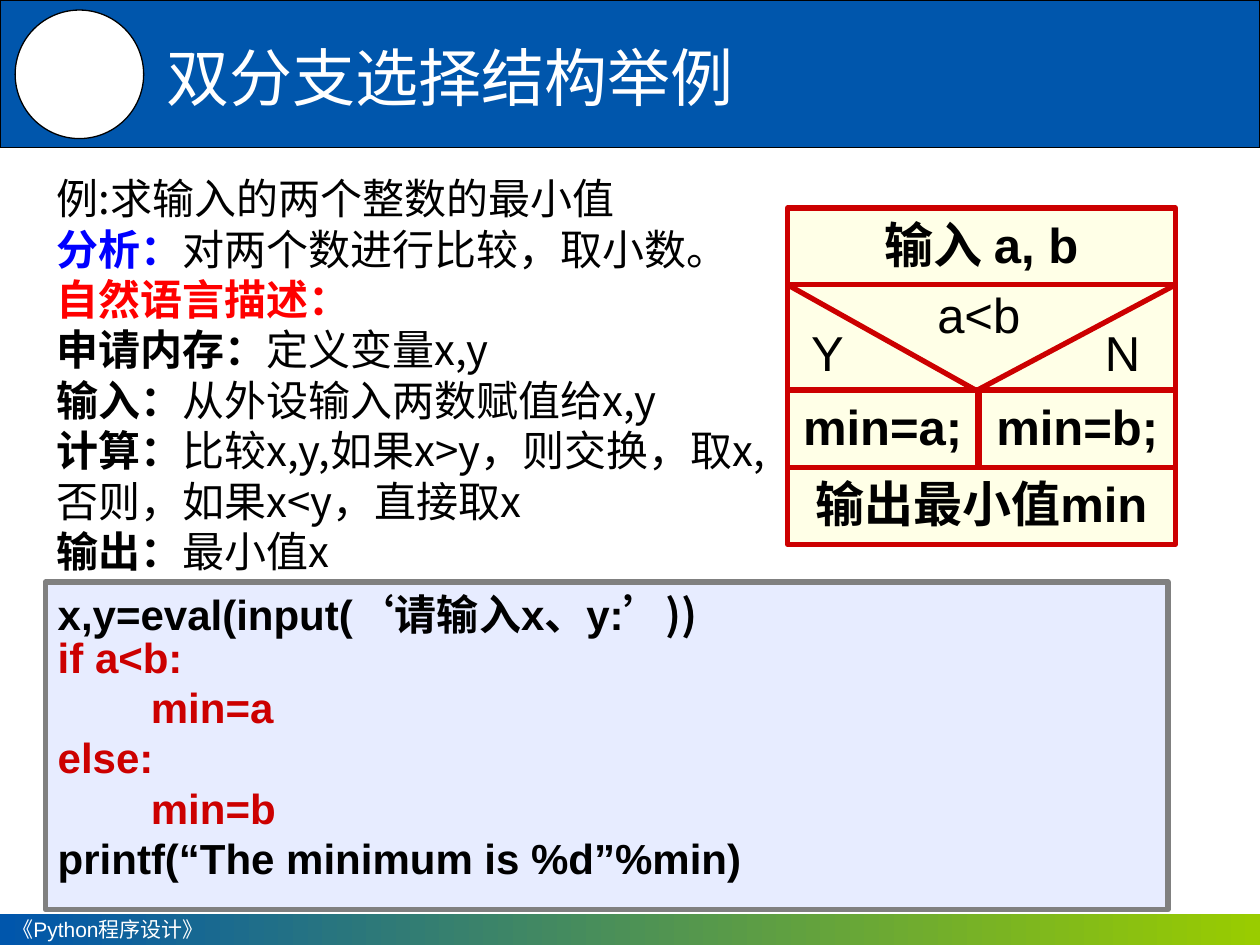
from dataclasses import dataclass

from lxml.etree import SubElement
from pptx import Presentation
from pptx.dml.color import RGBColor
from pptx.enum.shapes import MSO_CONNECTOR, MSO_SHAPE
from pptx.enum.text import MSO_ANCHOR, MSO_AUTO_SIZE, PP_ALIGN
from pptx.oxml.ns import qn
from pptx.util import Inches, Pt


@dataclass(frozen=True)
class Theme:
    blue: str = "0056AC"
    green: str = "99CC00"
    white: str = "FFFFFF"
    black: str = "000000"
    red: str = "CC0000"
    cream: str = "FFFFE7"
    code_fill: str = "E7ECFF"
    code_line: str = "808080"
    analysis: str = "0000FF"
    description: str = "FF0000"
    latin: str = "Arial"
    chinese: str = "Noto Sans CJK SC"
    title_size: int = 36
    chart_size: int = 28
    body_size: int = 24
    footer_size: int = 12
    line_height: float = 1.2


theme = Theme()


def write_text(shape, lines, size, font=theme.latin, color=theme.black, bold=False,
               align=PP_ALIGN.LEFT, anchor=MSO_ANCHOR.TOP, wrap=True):
    """Each line is a list of (text, overrides) runs."""
    frame = shape.text_frame
    frame.word_wrap = wrap
    frame.auto_size = MSO_AUTO_SIZE.NONE
    frame.vertical_anchor = anchor
    for index, runs in enumerate(lines):
        paragraph = frame.paragraphs[0] if index == 0 else frame.add_paragraph()
        paragraph.alignment = align
        paragraph.space_before = Pt(0)
        paragraph.line_spacing = Pt(size * theme.line_height)
        for text, overrides in runs:
            run = paragraph.add_run()
            run.text = text
            run.font.size = Pt(size)
            run.font.name = overrides.get("font", font)
            run.font.bold = overrides.get("bold", bold)
            run.font.color.rgb = RGBColor.from_string(overrides.get("color", color))
            properties = run.font._element
            properties.set("lang", "zh-CN")
            SubElement(properties, qn("a:ea")).set("typeface", theme.chinese)


def add_block(kind, left, top, width, height, fill, line=None, line_width=3):
    shape = slide.shapes.add_shape(
        kind, Inches(left), Inches(top), Inches(width), Inches(height))
    shape.shadow.inherit = False
    shape.fill.solid()
    shape.fill.fore_color.rgb = RGBColor.from_string(fill)
    if line:
        shape.line.color.rgb = RGBColor.from_string(line)
        shape.line.width = Pt(line_width)
    else:
        shape.line.fill.background()
    return shape


presentation = Presentation()
presentation.slide_width = Inches(10)
presentation.slide_height = Inches(7.5)
slide = presentation.slides.add_slide(presentation.slide_layouts[1])
title, body = slide.placeholders

# Header band with its round badge
add_block(MSO_SHAPE.RECTANGLE, 0, 0, 10, 1.17, theme.blue, theme.black, 0.75)
add_block(MSO_SHAPE.OVAL, 0.12, 0.08, 1.02, 1.02, theme.white, theme.black, 0.75)

# Footer band
footer = add_block(MSO_SHAPE.RECTANGLE, 0, 7.25, 10, 0.25, theme.blue)
footer.fill.gradient()
footer.fill.gradient_angle = 0
for stop, position, color in zip(footer.fill.gradient_stops, (0, 1), (theme.blue, theme.green)):
    stop.position = position
    stop.color.rgb = RGBColor.from_string(color)
write_text(footer, [[("《Python程序设计》", {})]], theme.footer_size,
           color=theme.white, anchor=MSO_ANCHOR.MIDDLE)

# Title, brought in front of the header band
title.left, title.top, title.width, title.height = map(Inches, (1.22, 0.23, 8.24, 0.75))
write_text(title, [[("双分支选择结构举例", {})]], theme.title_size, font=theme.chinese,
           color=theme.white, anchor=MSO_ANCHOR.MIDDLE)
title.element.getparent().append(title.element)

# Problem analysis
body.left, body.top, body.width, body.height = map(Inches, (0.35, 1.32, 5.91, 3.33))
analysis = [
    ("", "例:求输入的两个整数的最小值", theme.black),
    ("分析：", "对两个数进行比较，取小数。", theme.analysis),
    ("自然语言描述：", "", theme.description),
    ("申请内存：", "定义变量x,y", theme.black),
    ("输入：", "从外设输入两数赋值给x,y", theme.black),
    ("计算：", "比较x,y,如果x>y，则交换，取x,否则，如果x<y，直接取x", theme.black),
    ("输出：", "最小值x", theme.black),
]
analysis_lines = []
for label, detail, color in analysis:
    runs = [(label, {"bold": True, "color": color}), (detail, {})]
    analysis_lines.append([run for run in runs if run[0]])
write_text(body, analysis_lines, theme.body_size, font=theme.chinese)
for paragraph in body.text_frame.paragraphs:
    properties = paragraph._p.get_or_add_pPr()
    properties.set("marL", "0")
    properties.set("indent", "0")
    SubElement(properties, qn("a:buNone"))

# Code listing
code = add_block(MSO_SHAPE.RECTANGLE, 0.36, 4.62, 8.91, 2.6, theme.code_fill, theme.code_line)
branch = {"color": theme.red}
write_text(code, [
    [("x,y=eval(input(‘请输入x、y:’", {}), ("))", {"font": theme.chinese})],
    [("if a<b:", branch)],
    [("        min=a", branch)],
    [("else:", branch)],
    [("        min=b", branch)],
    [("printf(“The minimum is %d”%min)", {})],
], theme.body_size, bold=True)
code.text_frame.paragraphs[1].line_spacing = Pt(theme.body_size * theme.line_height * 0.85)

# Structure chart: boxes
chart_left, chart_width, row_height = 6.25, 3.08, 0.61
decision_top, branch_top, output_top = 2.26, 3.1, 3.71
chart_right = chart_left + chart_width
add_block(MSO_SHAPE.RECTANGLE, chart_left, decision_top, chart_width, 0.83,
          theme.cream, theme.red)
for text, left, top, width in (
    ("输入 a, b", chart_left, decision_top - row_height, chart_width),
    ("min=a;", chart_left, branch_top, 1.51),
    ("min=b;", 7.77, branch_top, 1.56),
    ("输出最小值min", chart_left, output_top, chart_width),
):
    box = add_block(MSO_SHAPE.RECTANGLE, left, top, width, row_height, theme.cream, theme.red)
    write_text(box, [[(text, {})]], theme.chart_size, bold=True, align=PP_ALIGN.CENTER)

# Structure chart: the two slanted lines of the decision
for corner in (chart_left, chart_right):
    connector = slide.shapes.add_connector(
        MSO_CONNECTOR.STRAIGHT, Inches(corner), Inches(decision_top),
        Inches(7.75), Inches(branch_top))
    connector.line.color.rgb = RGBColor.from_string(theme.red)
    connector.line.width = Pt(3)
    SubElement(connector.element.spPr, qn("a:effectLst"))

# Structure chart: condition and branch labels
for text, left, top, width in (("a<b", 7.34, 2.21, 0.88), ("Y", 6.34, 2.51, 0.46),
                               ("N", 8.67, 2.51, 0.48)):
    label = slide.shapes.add_textbox(Inches(left), Inches(top), Inches(width), Inches(0.57))
    write_text(label, [[(text, {})]], theme.chart_size, wrap=False)

presentation.save("out.pptx")
